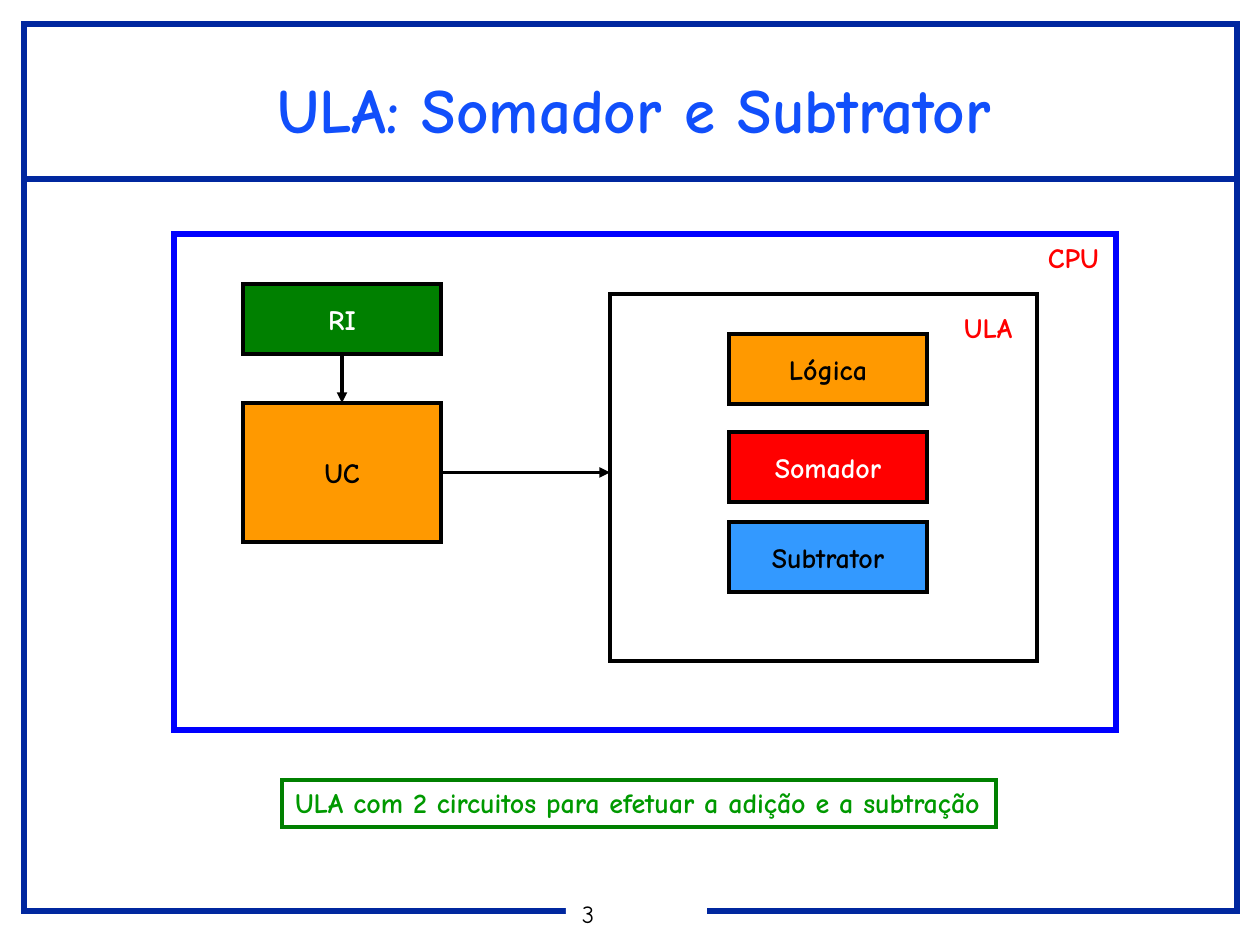
from lxml.etree import SubElement
from pptx import Presentation
from pptx.dml.color import RGBColor
from pptx.enum.shapes import MSO_CONNECTOR, MSO_SHAPE
from pptx.enum.text import MSO_ANCHOR as Anchor, PP_ALIGN as Align
from pptx.oxml.ns import qn
from pptx.util import Inches, Pt

PX_PER_INCH = 126
FONT = "Comic Neue"
BLACK = RGBColor(0x00, 0x00, 0x00)
WHITE = RGBColor(0xFF, 0xFF, 0xFF)
NAVY = RGBColor(0x00, 0x27, 0x9F)
TITLE_BLUE = RGBColor(0x11, 0x4F, 0xFB)
BLUE = RGBColor(0x00, 0x00, 0xFF)
SKY = RGBColor(0x33, 0x99, 0xFF)
GREEN = RGBColor(0x00, 0x80, 0x00)
LIGHT_GREEN = RGBColor(0x00, 0x99, 0x00)
ORANGE = RGBColor(0xFF, 0x99, 0x00)
RED = RGBColor(0xFF, 0x00, 0x00)

BLOCK_W, BLOCK_H = 198, 70
CONTROL_X, UNIT_X = 243, 729
TOP, BOTTOM, RIGHT = 0, 2, 3


def px(value):
    return Inches(value / PX_PER_INCH)


def write(shape, text, color, size=16, bold=True, align=Align.LEFT,
          anchor=Anchor.TOP, wrap=False, insets=(13, 6, 13), spacing=None):
    frame = shape.text_frame
    frame.text = text
    frame.word_wrap = wrap
    frame.vertical_anchor = anchor
    left, vertical, right = insets
    frame.margin_left, frame.margin_right = px(left), px(right)
    frame.margin_top = frame.margin_bottom = px(vertical)
    paragraph = frame.paragraphs[0]
    paragraph.alignment = align
    paragraph.line_spacing = spacing
    font = paragraph.runs[0].font
    font.name, font.size, font.bold = FONT, Pt(size), bold
    font.color.rgb = color


def add_box(slide, x, y, w, h, fill=None, line=BLACK, weight=2):
    box = slide.shapes.add_shape(MSO_SHAPE.RECTANGLE, px(x), px(y), px(w), px(h))
    box.shadow.inherit = False
    if fill is None:
        box.fill.background()
    else:
        box.fill.solid()
        box.fill.fore_color.rgb = fill
    if line is None:
        box.line.fill.background()
    else:
        box.line.color.rgb = line
        box.line.width = Pt(weight)
        # Square corners
        SubElement(box.line._get_or_add_ln(), qn("a:miter"), lim="800000")
    return box


def add_block(slide, text, x, y, fill, color=BLACK, h=BLOCK_H):
    block = add_box(slide, x, y, BLOCK_W, h, fill)
    write(block, text, color, align=Align.CENTER, anchor=Anchor.MIDDLE, wrap=True)
    return block


def add_label(slide, text, x, y, w, h, color, **style):
    label = slide.shapes.add_textbox(px(x), px(y), px(w), px(h))
    write(label, text, color, **style)


def add_line(slide, x1, y1, x2, y2, color=BLACK, weight=2, arrow=True):
    line = slide.shapes.add_connector(
        MSO_CONNECTOR.STRAIGHT, px(x1), px(y1), px(x2), px(y2))
    line.line.color.rgb = color
    line.line.width = Pt(weight)
    if arrow:
        SubElement(line.line._get_or_add_ln(), qn("a:tailEnd"), type="triangle")
    SubElement(line._element.spPr, qn("a:effectLst"))
    return line


def main():
    prs = Presentation()
    prs.slide_width, prs.slide_height = Inches(10), Inches(7.5)
    slide = prs.slides.add_slide(prs.slide_layouts[6])

    # Page frame, page number and title
    add_line(slide, 24, 179, 1236, 179, NAVY, 3, arrow=False)
    add_box(slide, 24, 24, 1213, 887, line=NAVY, weight=3)
    page_number = add_box(slide, 566, 898, 141, 34, WHITE, None)
    write(page_number, "3", BLACK, size=14, bold=False, wrap=True,
          insets=(16, 4, 9), spacing=0.9)
    add_label(slide, "ULA: Somador e Subtrator", 208, 72, 852, 79, TITLE_BLUE,
              size=36, align=Align.CENTER, wrap=True, insets=(9, 4, 9), spacing=0.95)

    # CPU and ULA outlines, with corner labels kept on one line
    corner_insets = (13, 6, 0)
    add_box(slide, 174, 234, 942, 496, line=BLUE, weight=3)
    add_label(slide, "CPU", 1035, 235, 76, 47, RED, insets=corner_insets)
    add_box(slide, 610, 294, 427, 367)
    add_label(slide, "ULA", 951, 305, 73, 47, RED, insets=corner_insets)

    # Control blocks and ULA circuits
    ri = add_block(slide, "RI", CONTROL_X, 284, GREEN, WHITE)
    uc = add_block(slide, "UC", CONTROL_X, 403, ORANGE, h=139)
    add_block(slide, "Lógica", UNIT_X, 334, ORANGE)
    add_block(slide, "Somador", UNIT_X, 432, RED, WHITE)
    add_block(slide, "Subtrator", UNIT_X, 522, SKY)

    # Control flow
    ri_to_uc = add_line(slide, 342, 354, 342, 403)
    ri_to_uc.begin_connect(ri, BOTTOM)
    ri_to_uc.end_connect(uc, TOP)
    uc_to_ula = add_line(slide, 441, 472, 610, 472)
    uc_to_ula.begin_connect(uc, RIGHT)
    uc_to_ula.end_y = uc_to_ula.begin_y

    # Caption
    caption = add_box(slide, 282, 780, 714, 47, line=GREEN)
    write(caption, "ULA com 2 circuitos para efetuar a adição e a subtração", LIGHT_GREEN)

    prs.save("out.pptx")


if __name__ == "__main__":
    main()
